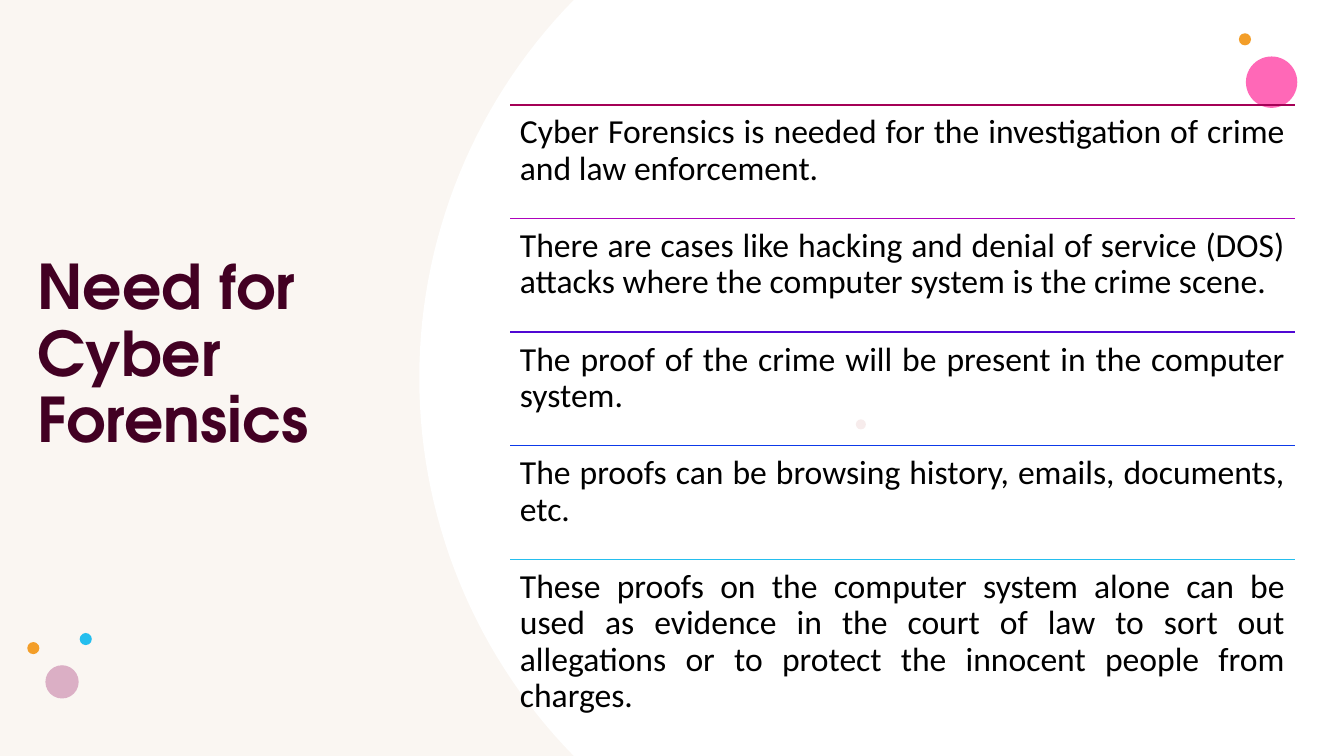
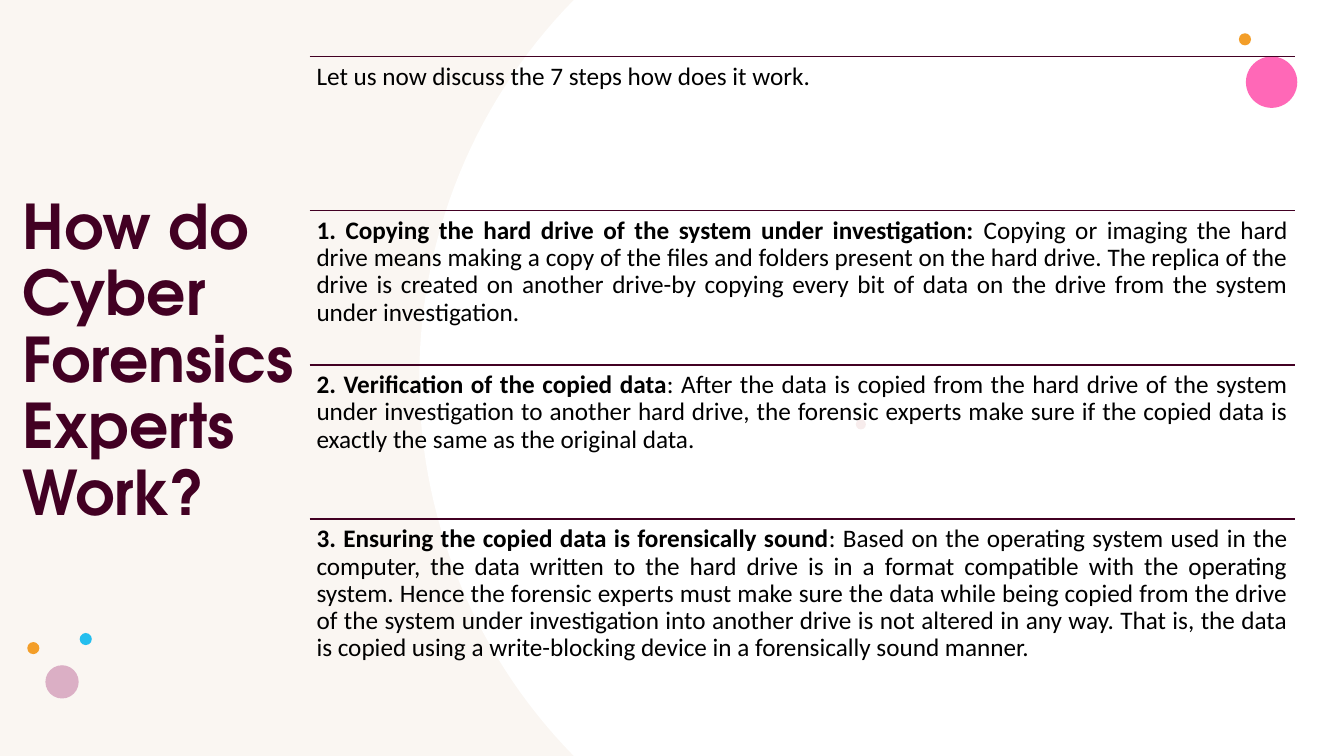
from dataclasses import dataclass
from math import asin, cos, sin

from lxml import etree
from pptx import Presentation
from pptx.dml.color import RGBColor
from pptx.enum.shapes import MSO_CONNECTOR, MSO_SHAPE
from pptx.enum.text import MSO_ANCHOR, MSO_AUTO_SIZE, PP_ALIGN
from pptx.oxml.ns import qn
from pptx.util import Inches, Pt

STRAIGHT, OVAL = MSO_CONNECTOR.STRAIGHT, MSO_SHAPE.OVAL
TOP, MIDDLE = MSO_ANCHOR.TOP, MSO_ANCHOR.MIDDLE
LEFT, JUSTIFY = PP_ALIGN.LEFT, PP_ALIGN.JUSTIFY
NO_FIT = MSO_AUTO_SIZE.NONE


@dataclass(frozen=True)
class Theme:
    cream: str = "FAF6F2"
    white: str = "FFFFFF"
    plum: str = "420023"
    black: str = "000000"
    pink: str = "FF2F9C"
    orange: str = "F39E29"
    blush: str = "E3BEBE"
    sky: str = "24BEEE"
    mauve: str = "DBAFC5"
    rainbow: tuple = ("A40056", "AD03BC", "5008D3", "0D3AE9", "24BEEE")
    title_font: str = "TeX Gyre Adventor"
    body_font: str = "Calibri"
    title_size: int = 44
    large: int = 24
    small: int = 18
    spacing: float = 0.9


THEME = Theme()

# Dots: left and top in % of the slide, diameter in % of its height, colour, opacity %
DOTS = [
    (92.7, 7.47, 6.8, THEME.pink, 72),
    (92.18, 4.4, 1.6, THEME.orange, 100),
    (63.68, 55.47, 1.33, THEME.blush, 28),
    (5.93, 83.73, 1.6, THEME.sky, 100),
    (3.38, 88, 4.4, THEME.mauve, 100),
    (2.03, 84.93, 1.6, THEME.orange, 100),
]
PANEL_LEFT, PANEL_CORNER = 31.2, 42.7
RULE_RIGHT = 96.35


class Deck:
    """Holds the style and the current slide; lengths are % of the slide."""

    def __init__(self, theme):
        self.theme = theme
        self.prs = Presentation()
        self.prs.slide_width, self.prs.slide_height = Inches(13.333), Inches(7.5)
        self.paint(self.prs.slide_master.background.fill, theme.cream)
        self.slide = None

    def x(self, share):
        return round(self.prs.slide_width * share / 100)

    def y(self, share):
        return round(self.prs.slide_height * share / 100)

    def paint(self, fill, colour, opacity=100):
        fill.solid()
        fill.fore_color.rgb = RGBColor.from_string(colour)
        if opacity < 100:
            # The colour element takes the transparency
            colour_xml = fill._xPr.find(qn("a:solidFill"))[0]
            etree.SubElement(colour_xml, qn("a:alpha"), val=str(opacity * 1000))

    def finish(self, shape, colour, opacity=100):
        self.paint(shape.fill, colour, opacity)
        shape.line.fill.background()
        shape.shadow.inherit = False

    def style(self, paragraph, align, font_name, size, colour):
        paragraph.alignment = align
        paragraph.line_spacing = self.theme.spacing
        for run in paragraph.runs:
            run.font.name, run.font.size = font_name, Pt(size)
            run.font.color.rgb = RGBColor.from_string(colour)

    def frame(self, shape, anchor, inset):
        frame = shape.text_frame
        frame.word_wrap, frame.auto_size = True, NO_FIT
        frame.vertical_anchor = anchor
        frame.margin_left = frame.margin_right = Inches(inset)
        frame.margin_top = frame.margin_bottom = Inches(inset)
        return frame

    def new_slide(self):
        self.slide = self.prs.slides.add_slide(self.prs.slide_layouts[5])
        self.panel()
        for dot in DOTS:
            self.dot(*dot)

    def panel(self):
        """White area whose left edge is an arc over the full height."""
        half, left = self.y(50), self.x(PANEL_LEFT)
        depth = self.x(PANEL_CORNER) - left
        radius = (half ** 2 + depth ** 2) / (2 * depth)
        reach, steps = asin(half / radius), 60
        angles = [reach * (2 * i / steps - 1) for i in range(steps + 1)]
        arc = [(round(left + radius * (1 - cos(a))), round(half - radius * sin(a)))
               for a in angles]
        outline = self.slide.shapes.build_freeform(self.x(100), 0, scale=1.0)
        outline.add_line_segments([(self.x(100), self.y(100))] + arc, close=True)
        self.finish(outline.convert_to_shape(), self.theme.white)

    def dot(self, left, top, diameter, colour, opacity):
        size = self.y(diameter)
        oval = self.slide.shapes.add_shape(OVAL, self.x(left), self.y(top), size, size)
        self.finish(oval, colour, opacity)

    def title(self, text, left, top, width, height):
        title = self.slide.shapes.title
        title.left, title.top = self.x(left), self.y(top)
        title.width, title.height = self.x(width), self.y(height)
        frame = self.frame(title, MIDDLE, 0.1)
        frame.margin_bottom = Inches(0.75)  # lifts the title by half a line
        frame.text = text
        paragraph = frame.paragraphs[0]
        self.style(paragraph, LEFT, self.theme.title_font, self.theme.title_size,
                   self.theme.plum)
        paragraph.runs[0].font.bold = True

    def rule(self, left, top, colour):
        rule = self.slide.shapes.add_connector(
            STRAIGHT, self.x(left), self.y(top), self.x(RULE_RIGHT), self.y(top))
        rule.line.color.rgb = RGBColor.from_string(colour)
        rule.line.width = Pt(1)
        etree.SubElement(rule._element.spPr, qn("a:effectLst"))

    def entry(self, heading, body, left, top, height, size, inset):
        box = self.slide.shapes.add_textbox(
            self.x(left), self.y(top), self.x(RULE_RIGHT - left), self.y(height))
        paragraph = self.frame(box, TOP, inset).paragraphs[0]
        for text, bold in ((heading, True), (body, False)):
            if text:
                run = paragraph.add_run()
                run.text, run.font.bold = text, bold
        self.style(paragraph, JUSTIFY, self.theme.body_font, size, self.theme.black)

    def ruled_list(self, entries, colours, left, top, pitch, size, inset):
        for row, ((heading, body), colour) in enumerate(zip(entries, colours)):
            row_top = top + row * pitch
            self.rule(left, row_top, colour)
            self.entry(heading, body, left, row_top, pitch, size, inset)


NEEDS = [
    ("", "Cyber Forensics is needed for the investigation of crime and law enforcement."),
    ("", "There are cases like hacking and denial of service (DOS) attacks where the "
         "computer system is the crime scene."),
    ("", "The proof of the crime will be present in the computer system."),
    ("", "The proofs can be browsing history, emails, documents, etc."),
    ("", "These proofs on the computer system alone can be used as evidence in the court "
         "of law to sort out allegations or to protect the innocent people from charges."),
]
STEPS = [
    ("", "Let us now discuss the 7 steps how does it work."),
    ("1. Copying the hard drive of the system under investigation: ",
     "Copying or imaging the hard drive means making a copy of the files and folders "
     "present on the hard drive. The replica of the drive is created on another drive-by "
     "copying every bit of data on the drive from the system under investigation."),
    ("2. Verification of the copied data",
     ": After the data is copied from the hard drive of the system under investigation to "
     "another hard drive, the forensic experts make sure if the copied data is exactly "
     "the same as the original data."),
    ("3. Ensuring the copied data is forensically sound",
     ": Based on the operating system used in the computer, the data written to the hard "
     "drive is in a format compatible with the operating system. Hence the forensic "
     "experts must make sure the data while being copied from the drive of the system "
     "under investigation into another drive is not altered in any way. That is, the data "
     "is copied using a write-blocking device in a forensically sound manner."),
]


def main():
    deck = Deck(THEME)

    # Need for cyber forensics
    deck.new_slide()
    deck.title("Need for Cyber Forensics", 2.03, 13.87, 27.83, 75.2)
    deck.ruled_list(NEEDS, THEME.rainbow, left=37.95, top=13.87, pitch=15.03,
                    size=THEME.large, inset=0.1)

    # How the experts work
    deck.new_slide()
    deck.title("How do Cyber Forensics Experts Work?", 0.9, 14.67, 23.48, 75.2)
    deck.ruled_list(STEPS, [THEME.plum] * len(STEPS), left=23.03, top=7.47, pitch=20.4,
                    size=THEME.small, inset=0.07)

    deck.prs.save("out.pptx")


if __name__ == "__main__":
    main()
